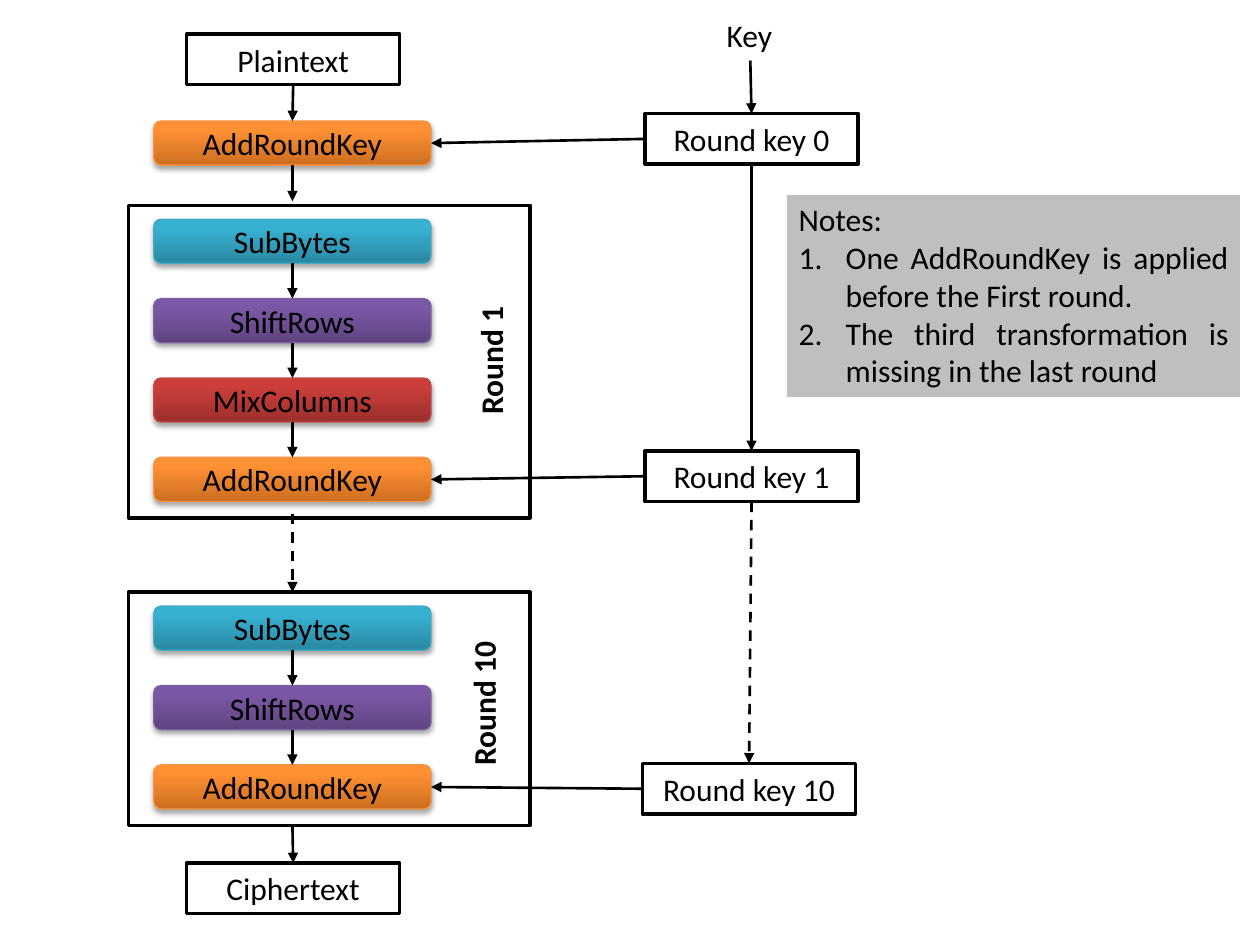
from lxml.etree import SubElement
from pptx import Presentation
from pptx.dml.color import RGBColor
from pptx.enum.dml import MSO_LINE
from pptx.enum.shapes import MSO_CONNECTOR, MSO_SHAPE
from pptx.enum.text import MSO_ANCHOR, MSO_AUTO_SIZE, PP_ALIGN
from pptx.oxml.ns import qn
from pptx.util import Cm, Pt

BLACK = RGBColor(0x00, 0x00, 0x00)
WHITE = RGBColor(0xFF, 0xFF, 0xFF)
NOTE_GRAY = RGBColor(0xBF, 0xBF, 0xBF)
ORANGE = RGBColor(0xCC, 0x6E, 0x20), RGBColor(0xFF, 0x90, 0x34), RGBColor(0xF6, 0x92, 0x40)
TEAL = RGBColor(0x2A, 0x88, 0xA2), RGBColor(0x37, 0xB1, 0xD2), RGBColor(0x46, 0xAA, 0xC5)
PURPLE = RGBColor(0x5F, 0x44, 0x80), RGBColor(0x7B, 0x58, 0xA6), RGBColor(0x7D, 0x60, 0xA0)
RED = RGBColor(0x9C, 0x2F, 0x2D), RGBColor(0xCB, 0x3E, 0x3A), RGBColor(0xBF, 0x4C, 0x48)
STEP_COLORS = {"AddRoundKey": ORANGE, "SubBytes": TEAL, "ShiftRows": PURPLE, "MixColumns": RED}

TOP, LEFT, BOTTOM, RIGHT = range(4)
STEP_LEFT, STEP_WIDTH, STEP_HEIGHT, STEP_PITCH = 3.1, 5.59, 0.89, 1.6
STEP_CENTER = STEP_LEFT + STEP_WIDTH / 2
ROUND_LEFT, ROUND_WIDTH, ROUND_PADDING = 2.59, 8.1, 0.28
BOX_WIDTH, BOX_HEIGHT = 4.3, 1.02


def write(paragraph, text, align=PP_ALIGN.CENTER, bold=False):
    """Fill a paragraph with black 18 pt text."""
    paragraph.text = text
    paragraph.alignment = align
    paragraph.font.name = "Calibri"
    paragraph.font.size = Pt(18)
    paragraph.font.bold = bold
    paragraph.font.color.rgb = BLACK


def add_box(slide, left, top, width, height, text="", fill=WHITE, line=BLACK, weight=2):
    """Add a flat outlined rectangle."""
    box = slide.shapes.add_shape(MSO_SHAPE.RECTANGLE, Cm(left), Cm(top), Cm(width), Cm(height))
    box.shadow.inherit = False
    box.fill.solid()
    box.fill.fore_color.rgb = fill
    box.line.color.rgb = line
    box.line.width = Pt(weight)
    if text:
        write(box.text_frame.paragraphs[0], text)
    return box


def add_step(slide, top, name):
    """Add one shaded cipher transformation."""
    dark, light, edge = STEP_COLORS[name]
    step = slide.shapes.add_shape(
        MSO_SHAPE.ROUNDED_RECTANGLE, Cm(STEP_LEFT), Cm(top), Cm(STEP_WIDTH), Cm(STEP_HEIGHT))
    step.fill.gradient()
    step.fill.gradient_angle = 90
    for stop, color, position in zip(step.fill.gradient_stops, (dark, light), (0, 0.8)):
        stop.color.rgb = color
        stop.position = position
    step.line.color.rgb = edge
    step.line.width = Pt(0.75)
    step.shadow.inherit = False
    effects = step._element.spPr.find(qn("a:effectLst"))
    shadow = SubElement(effects, qn("a:outerShdw"), blurRad=str(Pt(3.1)), dist=str(Pt(1.8)),
                        dir="5400000", rotWithShape="0")
    shade = SubElement(shadow, qn("a:srgbClr"), val=str(BLACK))
    SubElement(shade, qn("a:alpha"), val="35000")
    step.text_frame.vertical_anchor = MSO_ANCHOR.MIDDLE
    write(step.text_frame.paragraphs[0], name)
    return step


def add_round(slide, top, height, names):
    """Add a round frame with its evenly spaced steps."""
    add_box(slide, ROUND_LEFT, top, ROUND_WIDTH, height)
    return [add_step(slide, top + ROUND_PADDING + i * STEP_PITCH, name)
            for i, name in enumerate(names)]


def add_label(slide, left, top, width, text, align=PP_ALIGN.CENTER, bold=False, rotation=0):
    """Add a free text label."""
    label = slide.shapes.add_textbox(Cm(left), Cm(top), Cm(width), Cm(BOX_HEIGHT))
    label.rotation = rotation
    label.text_frame.word_wrap = True
    write(label.text_frame.paragraphs[0], text, align, bold)
    return label


def add_arrow(slide, x=0, start=0, end=0, dashed=False):
    """Add a downward arrow at x."""
    arrow = slide.shapes.add_connector(MSO_CONNECTOR.STRAIGHT, Cm(x), Cm(start), Cm(x), Cm(end))
    arrow.line.color.rgb = BLACK
    arrow.line.width = Pt(1.5)
    if dashed:
        arrow.line.dash_style = MSO_LINE.DASH
    SubElement(arrow.line._get_or_add_ln(), qn("a:tailEnd"), type="triangle")
    SubElement(arrow._element.spPr, qn("a:effectLst"))
    return arrow


def join(slide, source, target, sides=(BOTTOM, TOP), dashed=False):
    """Link two shapes with an arrow."""
    arrow = add_arrow(slide, dashed=dashed)
    arrow.begin_connect(source, sides[0])
    arrow.end_connect(target, sides[1])


def add_notes(slide, heading, items):
    """Add the gray panel with numbered remarks."""
    panel = add_box(slide, 15.85, 3.91, 9.17, 4.11, fill=NOTE_GRAY, line=WHITE, weight=0.75)
    frame = panel.text_frame
    frame.vertical_anchor = MSO_ANCHOR.TOP
    frame.auto_size = MSO_AUTO_SIZE.SHAPE_TO_FIT_TEXT
    write(frame.paragraphs[0], heading, PP_ALIGN.JUSTIFY)
    for item in items:
        paragraph = frame.add_paragraph()
        properties = paragraph._p.get_or_add_pPr()
        properties.set("marL", str(Cm(0.95)))
        properties.set("indent", str(-Cm(0.95)))
        SubElement(properties, qn("a:buFont"), typeface="+mj-lt")
        SubElement(properties, qn("a:buAutoNum"), type="arabicPeriod")
        write(paragraph, item, PP_ALIGN.JUSTIFY)


def main():
    """Build the AES encryption flow slide."""
    deck = Presentation()
    deck.slide_width, deck.slide_height = Cm(25.4), Cm(19.05)
    slide = deck.slides.add_slide(deck.slide_layouts[6])

    plaintext = add_box(slide, 3.76, 0.69, BOX_WIDTH, BOX_HEIGHT, "Plaintext")
    initial_step = add_step(slide, 2.44, "AddRoundKey")
    first_round = add_round(
        slide, 4.14, 6.3, ["SubBytes", "ShiftRows", "MixColumns", "AddRoundKey"])
    last_round = add_round(slide, 11.94, 4.7, ["SubBytes", "ShiftRows", "AddRoundKey"])
    ciphertext = add_box(slide, 3.76, 17.4, BOX_WIDTH, BOX_HEIGHT, "Ciphertext")
    add_label(slide, 8.08, 6.76, 3.63, "Round 1", bold=True, rotation=270)
    add_label(slide, 7.8, 13.67, 3.89, "Round 10", bold=True, rotation=270)

    key = add_label(slide, 14.4, 0.2, 1.45, "Key", PP_ALIGN.LEFT)
    key.text_frame.word_wrap = False
    round_keys = [add_box(slide, left, top, BOX_WIDTH, BOX_HEIGHT, f"Round key {number}")
                  for number, left, top in [(0, 13, 2.29), (1, 13, 9.09), (10, 12.95, 15.39)]]

    join(slide, plaintext, initial_step)
    for steps in (first_round, last_round):
        for source, target in zip(steps, steps[1:]):
            join(slide, source, target)
    add_arrow(slide, STEP_CENTER, 3.33, 4.06).begin_connect(initial_step, BOTTOM)
    add_arrow(slide, STEP_CENTER, 10.36, 11.94, dashed=True)
    add_arrow(slide, STEP_CENTER, 16.64, 17.35).end_connect(ciphertext, TOP)

    join(slide, key, round_keys[0])
    join(slide, round_keys[0], round_keys[1])
    join(slide, round_keys[1], round_keys[2], dashed=True)
    for round_key, step in zip(round_keys, (initial_step, first_round[-1], last_round[-1])):
        join(slide, round_key, step, (LEFT, RIGHT))

    add_notes(slide, "Notes:", [
        "One AddRoundKey is applied before the First round.",
        "The third transformation is missing in the last round",
    ])
    deck.save("out.pptx")


if __name__ == "__main__":
    main()
